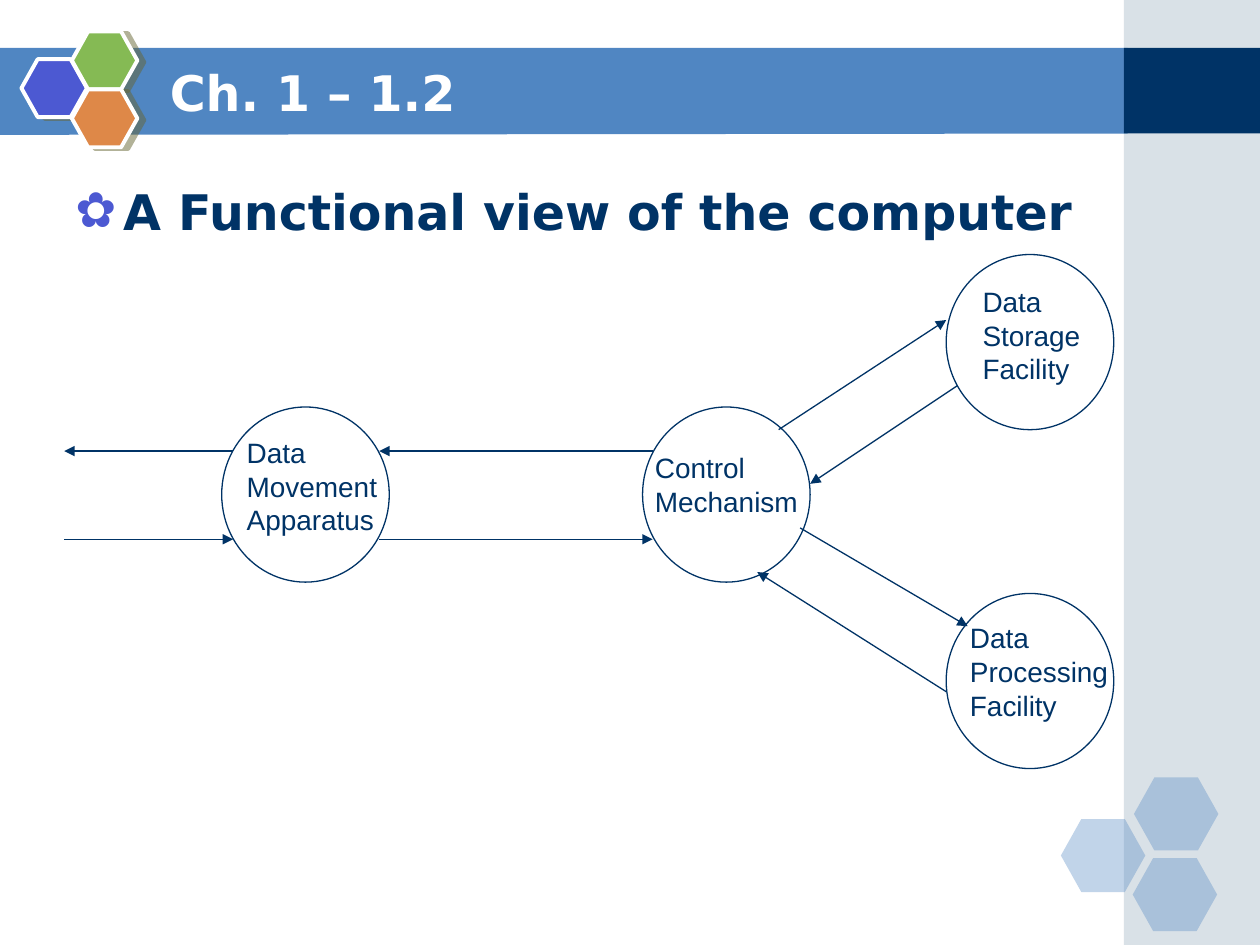
from dataclasses import dataclass
from typing import NamedTuple, Optional

from pptx import Presentation
from pptx.dml.color import RGBColor
from pptx.enum.shapes import MSO_CONNECTOR, MSO_SHAPE
from pptx.enum.text import MSO_ANCHOR
from pptx.oxml import parse_xml
from pptx.oxml.ns import nsdecls
from pptx.util import Inches, Pt


@dataclass(frozen=True)
class Theme:
    navy: str = "003366"
    blue: str = "5086C2"
    grey: str = "A0B5C4"
    violet: str = "4C59D2"
    green: str = "85BA54"
    orange: str = "DE8848"
    white: str = "FFFFFF"
    shade: str = "666633"
    head: str = "DejaVu Sans"
    body: str = "Arial"
    large: int = 28
    small: int = 16
    thin: float = 0.75
    thick: float = 2.25


class Box(NamedTuple):
    left: float
    top: float
    width: float
    height: float


class Panel(NamedTuple):
    box: Box
    fill: str
    alpha: int = 100
    line: Optional[str] = None


class Node(NamedTuple):
    left: float
    top: float
    label: Box
    lines: tuple[str, ...]


class Arrow(NamedTuple):
    x1: float
    y1: float
    x2: float
    y2: float


theme = Theme()

STRIPS = [
    Panel(Box(8.92, 0, 1.08, 7.5), theme.grey, 40),
    Panel(Box(8.92, 0.38, 1.08, 0.68), theme.navy),
]
CELLS = [
    Panel(Box(x, y, 0.67, 0.58), theme.blue, 35)
    for x, y in ((8.42, 6.5), (9, 6.17), (8.99, 6.81))
] + [
    Panel(Box(x, y, 0.52, 0.46), fill, line=theme.white)
    for x, y, fill in (
        (0.17, 0.47, theme.violet),
        (0.57, 0.25, theme.green),
        (0.57, 0.71, theme.orange),
    )
]
NODES = [
    Node(1.76, 3.23, Box(1.86, 3.41, 1.3, 0.9), ("Data", "Movement", "Apparatus")),
    Node(5.1, 3.23, Box(5.1, 3.53, 1.4, 0.64), ("Control", "Mechanism")),
    Node(7.51, 2.02, Box(7.7, 2.21, 1.1, 0.9), ("Data", "Storage", "Facility")),
    Node(7.51, 4.71, Box(7.6, 4.88, 1.4, 0.9), ("Data", "Processing", "Facility")),
]
ARROWS = [
    Arrow(1.85, 3.58, 0.51, 3.58),
    Arrow(0.51, 4.28, 1.85, 4.28),
    Arrow(3.01, 4.28, 5.18, 4.28),
    Arrow(5.18, 3.58, 3.01, 3.58),
    Arrow(6.18, 3.41, 7.51, 2.54),
    Arrow(7.6, 3.06, 6.43, 3.84),
    Arrow(6.35, 4.19, 7.68, 4.97),
    Arrow(7.51, 5.49, 6.01, 4.54),
]


def element(xml: str):
    tag, rest = xml[1:].split(" ", 1)
    return parse_xml(f"<{tag} {nsdecls('a')} {rest}")


def paint(shape, fill: Optional[str], line: Optional[str], width: float = 0) -> None:
    shape.shadow.inherit = False
    if fill:
        shape.fill.solid()
        shape.fill.fore_color.rgb = RGBColor.from_string(fill)
    else:
        shape.fill.background()
    if line:
        shape.line.color.rgb = RGBColor.from_string(line)
        shape.line.width = Pt(width)
    else:
        shape.line.fill.background()


def draw_shape(slide, kind: MSO_SHAPE, box: Box, fill=None, line=None, width=0.0):
    shape = slide.shapes.add_shape(kind, *map(Inches, box))
    paint(shape, fill, line, width)
    return shape


def fade(shape, alpha: int) -> None:
    color = shape.fill._xPr.solidFill[0]
    color.append(element(f'<a:alpha val="{alpha * 1000}"/>'))


def draw_banner(slide) -> None:
    pen = slide.shapes.build_freeform(Inches(-0.01), Inches(0.38))
    corners = [(8.95, 0.38), (8.95, 1.06), (-0.01, 1.07)]
    pen.add_line_segments([(Inches(x), Inches(y)) for x, y in corners])
    paint(pen.convert_to_shape(), theme.blue, None)


def draw_cell(slide, cell: Panel) -> None:
    shape = draw_shape(slide, MSO_SHAPE.HEXAGON, cell.box, cell.fill, cell.line, theme.thick)
    shape.adjustments[0] = 0.28
    if cell.alpha < 100:
        fade(shape, cell.alpha)
    if cell.line:
        effects = shape._element.spPr.find(
            "{http://schemas.openxmlformats.org/drawingml/2006/main}effectLst"
        )
        effects.append(element(
            f'<a:outerShdw dist="{Pt(4.1)}" dir="{14 * 60000}" algn="ctr" rotWithShape="0">'
            f'<a:srgbClr val="{theme.shade}"><a:alpha val="50000"/></a:srgbClr>'
            "</a:outerShdw>"
        ))


def write(slide, box: Box, lines: tuple[str, ...], style: dict,
          anchor=MSO_ANCHOR.TOP, bullet: str = "") -> None:
    frame = slide.shapes.add_textbox(*map(Inches, box)).text_frame
    frame.word_wrap = True
    frame.vertical_anchor = anchor
    frame.text = "\n".join(lines)
    for para in frame.paragraphs:
        if bullet:
            props = para._p.get_or_add_pPr()
            props.set("marL", str(Inches(0.38)))
            props.set("indent", str(Inches(-0.38)))
            props.append(element(f'<a:buClr ><a:srgbClr val="{theme.violet}"/></a:buClr>'))
            props.append(element(f'<a:buFont typeface="{theme.head}"/>'))
            props.append(element(f'<a:buChar char="{bullet}"/>'))
        for run in para.runs:
            for key, value in style.items():
                if key == "color":
                    run.font.color.rgb = RGBColor.from_string(value)
                else:
                    setattr(run.font, key, value)


def draw_arrow(slide, arrow: Arrow) -> None:
    link = slide.shapes.add_connector(MSO_CONNECTOR.STRAIGHT, *map(Inches, arrow))
    link.line.color.rgb = RGBColor.from_string(theme.navy)
    link.line.width = Pt(theme.thin)
    link.line._get_or_add_ln().append(element('<a:tailEnd type="triangle"/>'))
    link._element.spPr.append(element("<a:effectLst />"))


def main() -> None:
    deck = Presentation()
    deck.slide_width, deck.slide_height = Inches(10), Inches(7.5)
    slide = deck.slides.add_slide(deck.slide_layouts[6])
    title = {"name": theme.head, "size": Pt(theme.large), "bold": True, "color": theme.white}
    label = {"name": theme.body, "size": Pt(theme.small), "color": theme.navy}

    draw_banner(slide)
    for strip in STRIPS:
        fade(draw_shape(slide, MSO_SHAPE.RECTANGLE, strip.box, strip.fill), strip.alpha)
    for cell in CELLS:
        draw_cell(slide, cell)
    write(slide, Box(1.25, 0.42, 7.33, 0.62), ("Ch. 1 – 1.2",), title, MSO_ANCHOR.MIDDLE)
    write(slide, Box(0.5, 1.39, 9, 5.53), ("A Functional view of the computer",),
          title | {"color": theme.navy}, bullet="✿")
    for arrow in ARROWS:
        draw_arrow(slide, arrow)
    for node in NODES:
        write(slide, node.label, node.lines, label)
        draw_shape(slide, MSO_SHAPE.OVAL, Box(node.left, node.top, 1.33, 1.39),
                   line=theme.navy, width=theme.thin)
    deck.save("out.pptx")


if __name__ == "__main__":
    main()
